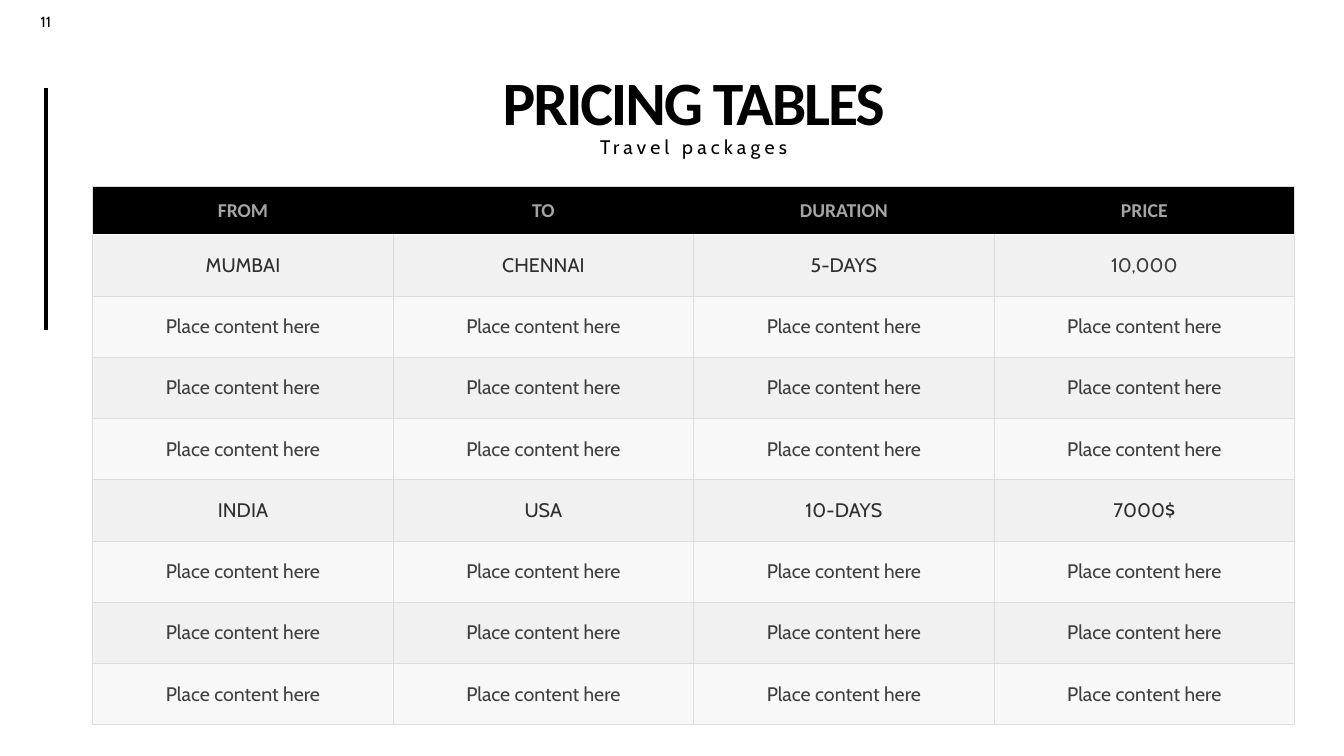
from dataclasses import dataclass

from lxml.etree import SubElement
from pptx import Presentation
from pptx.dml.color import RGBColor
from pptx.enum.shapes import MSO_CONNECTOR
from pptx.enum.text import MSO_ANCHOR, PP_ALIGN
from pptx.oxml.ns import qn
from pptx.util import Inches, Pt


@dataclass(frozen=True)
class Theme:
    heading_font: str = "Calibri"
    body_font: str = "Cabin"
    black: str = "000000"
    white: str = "FFFFFF"
    header_text: str = "A5A5A5"
    package_text: str = "2F2F2F"
    body_text: str = "3F3F3F"
    grid: str = "DDDDDD"
    title_size: float = 44
    text_size: float = 14
    number_size: float = 10.5
    rule_width: float = 3
    grid_width: float = 0.5
    header_gap_width: float = 1
    band_alphas: tuple = (40, 20)


HEADERS = ["FROM", "TO", "DURATION", "PRICE"]
FILLER = ["Place content here"] * len(HEADERS)
PACKAGES = [
    ["MUMBAI", "CHENNAI", "5-DAYS", "10,000"],
    ["INDIA", "USA", "10-DAYS", "7000$"],
]
BODY_ROWS = [row for package in PACKAGES for row in (package, FILLER, FILLER, FILLER)]

CONTENT_LEFT, CONTENT_WIDTH = 0.92, 11.92
TABLE_TOP, TABLE_HEIGHT, HEADER_HEIGHT = 1.85, 5.34, 0.48


class SlideBuilder:
    def __init__(self, slide, theme):
        self.slide = slide
        self.theme = theme

    def set_text(self, frame, text, font, size, color, bold=False, tracking=0, line_spacing=None):
        """Fill a frame with one centred paragraph; tracking is in points."""
        frame.text = text
        paragraph = frame.paragraphs[0]
        paragraph.alignment = PP_ALIGN.CENTER
        paragraph.space_before = Pt(0)
        if line_spacing:
            paragraph.line_spacing = line_spacing
        run = paragraph.runs[0]
        run.font.name = font
        run.font.size = Pt(size)
        run.font.bold = bold
        run.font.color.rgb = RGBColor.from_string(color)
        if tracking:
            run._r.get_or_add_rPr().set("spc", str(int(tracking * 100)))

    def title(self, text, left, top, width, height):
        title = self.slide.shapes.title
        title.left, title.top = Inches(left), Inches(top)
        title.width, title.height = Inches(width), Inches(height)
        title.text_frame.vertical_anchor = MSO_ANCHOR.BOTTOM
        self.set_text(title.text_frame, text, self.theme.heading_font, self.theme.title_size,
                      self.theme.black, bold=True, tracking=-1.5, line_spacing=0.9)

    def label(self, text, left, top, width, height, size, anchor=MSO_ANCHOR.TOP, **style):
        box = self.slide.shapes.add_textbox(Inches(left), Inches(top), Inches(width), Inches(height))
        box.text_frame.word_wrap = True
        box.text_frame.vertical_anchor = anchor
        self.set_text(box.text_frame, text, self.theme.body_font, size, self.theme.black, **style)

    def vertical_rule(self, x, top, bottom):
        rule = self.slide.shapes.add_connector(
            MSO_CONNECTOR.STRAIGHT, Inches(x), Inches(bottom), Inches(x), Inches(top))
        rule.line.color.rgb = RGBColor.from_string(self.theme.black)
        rule.line.width = Pt(self.theme.rule_width)
        SubElement(rule._element.spPr, qn("a:effectLst"))

    def border(self, cell, side, line):
        """Draw one side (L, R, T or B) as (colour, points), or leave it clear for None."""
        edge = SubElement(cell._tc.get_or_add_tcPr(), qn(f"a:ln{side}"))
        if line is None:
            SubElement(edge, qn("a:noFill"))
            return
        color, width = line
        edge.set("w", str(Pt(width)))
        SubElement(SubElement(edge, qn("a:solidFill")), qn("a:srgbClr"), val=color)

    def cell(self, cell, text, borders, fill, margin, alpha=100, **style):
        for side, line in borders.items():
            self.border(cell, side, line)
        cell.fill.solid()
        cell.fill.fore_color.rgb = RGBColor.from_string(fill)
        if alpha < 100:
            color = cell._tc.tcPr.find(qn("a:solidFill")).find(qn("a:srgbClr"))
            SubElement(color, qn("a:alpha"), val=str(alpha * 1000))
        cell.margin_left = cell.margin_right = Inches(margin)
        cell.margin_top = cell.margin_bottom = Inches(0.04)
        cell.vertical_anchor = MSO_ANCHOR.MIDDLE
        self.set_text(cell.text_frame, text, size=self.theme.text_size, **style)

    def price_table(self, headers, body_rows, left, top, width, height, header_height):
        theme = self.theme
        table = self.slide.shapes.add_table(
            len(body_rows) + 1, len(headers),
            Inches(left), Inches(top), Inches(width), Inches(height)).table
        table.horz_banding = False
        for column in table.columns:
            column.width = Inches(width / len(headers))
        for row in table.rows:
            row.height = Inches((height - header_height) / len(body_rows))
        table.rows[0].height = Inches(header_height)

        grid = (theme.grid, theme.grid_width)
        header_gap = (theme.white, theme.header_gap_width)
        last = len(headers) - 1
        for index, header in enumerate(headers):
            borders = {"L": grid if index == 0 else None,
                       "R": grid if index == last else None,
                       "T": grid, "B": header_gap}
            self.cell(table.cell(0, index), header, borders, theme.black, margin=0.08,
                      font=theme.heading_font, color=theme.header_text, bold=True)

        for number, values in enumerate(body_rows):
            borders = {"L": grid, "R": grid, "T": grid if number else header_gap, "B": grid}
            for index, value in enumerate(values):
                plain = values is FILLER or value == "10,000"
                self.cell(table.cell(number + 1, index), value, borders, theme.grid, margin=0.07,
                          alpha=theme.band_alphas[number % 2], font=theme.body_font,
                          color=theme.body_text if plain else theme.package_text)


def main():
    presentation = Presentation()
    presentation.slide_width, presentation.slide_height = Inches(13.33), Inches(7.5)
    theme = Theme()
    builder = SlideBuilder(presentation.slides.add_slide(presentation.slide_layouts[5]), theme)
    builder.vertical_rule(0.46, 0.87, 3.27)
    builder.label("11", 0.17, 0.08, 0.57, 0.27, theme.number_size)
    builder.title("PRICING TABLES", CONTENT_LEFT, -0.06, CONTENT_WIDTH, 1.49)
    builder.label("Travel packages", CONTENT_LEFT, 1.29, CONTENT_WIDTH, 0.35, theme.text_size,
                  anchor=MSO_ANCHOR.MIDDLE, tracking=3, line_spacing=0.9)
    builder.price_table(HEADERS, BODY_ROWS, CONTENT_LEFT, TABLE_TOP, CONTENT_WIDTH,
                        TABLE_HEIGHT, HEADER_HEIGHT)
    presentation.save("out.pptx")


if __name__ == "__main__":
    main()
